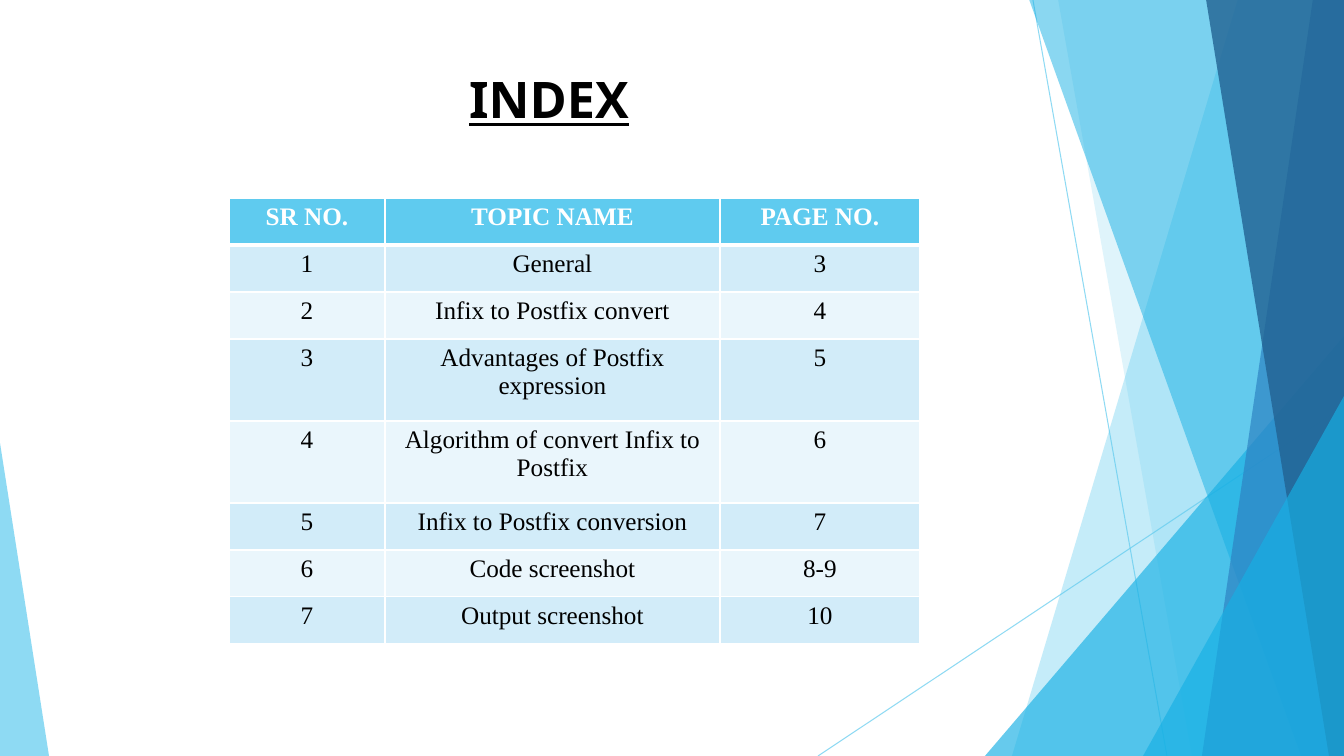
from lxml import etree
from pptx import Presentation
from pptx import util as u
from pptx.dml.color import RGBColor
from pptx.enum import shapes, text
from pptx.oxml.ns import qn

SKY = RGBColor(0x5F, 0xCB, 0xEF)
CYAN = RGBColor(0x17, 0xB0, 0xE4)
BLUE = RGBColor(0x2E, 0x83, 0xC3)
NAVY = RGBColor(0x22, 0x62, 0x92)
BAND = RGBColor(0xD2, 0xEC, 0xF9)
PALE_BAND = RGBColor(0xEA, 0xF6, 0xFC)
WHITE = RGBColor(0xFF, 0xFF, 0xFF)
BLACK = RGBColor(0, 0, 0)

# Content
TITLE = "INDEX"
HEADER = ("SR NO.", "TOPIC NAME", "PAGE NO.")
TOPICS = [
    ("General", "3"),
    ("Infix to Postfix convert", "4"),
    ("Advantages of Postfix expression", "5"),
    ("Algorithm of convert Infix to Postfix", "6"),
    ("Infix to Postfix conversion", "7"),
    ("Code screenshot", "8-9"),
    ("Output screenshot", "10"),
]
ROWS = [HEADER] + [(str(n), *topic) for n, topic in enumerate(TOPICS, 1)]

# Layout in pixels
SCALE = 914400 / 100.8
WIDTH, HEIGHT = 1344, 756
TITLE_BOX = (75, 68, 948, 83)
TABLE_LEFT, TABLE_TOP = 229, 198
COLUMN_WIDTHS = (156, 335, 200)
ROW_HEIGHTS = (47, 47, 47, 82, 82, 47, 47, 47)

# Decoration from back to front
LINES = [(1033, 0, 1167, HEIGHT), (WIDTH, 406, 818, HEIGHT)]
# Facets reach the right edge: (top x, bottom x, colour, opacity)
# Triangles: (left, top, width, height, apex, colour, opacity)
DECORATION = [
    (1238, 1012, SKY, 36),
    (1058, 1192, SKY, 20),
    (985, 336, 359, 420, 1, CYAN, 66),
    (1029, 1301, CYAN, 50),
    (1313, 1202, BLUE, 70),
    (1206, 1329, NAVY, 80),
    (1143, 396, 201, 360, 1, CYAN, 66),
    (0, 443, 49, 313, 0, SKY, 70),
]


def px(*lengths):
    return [u.Emu(round(length * SCALE)) for length in lengths]


def paint(fill, color, opacity=100):
    fill.solid()
    fill.fore_color.rgb = color
    if opacity < 100:
        color_element = fill._xPr.find(qn("a:solidFill"))[0]
        etree.SubElement(color_element, qn("a:alpha"), val=str(opacity * 1000))


def add_facet(top_x, bottom_x):
    builder = page.shapes.build_freeform(top_x, -1, scale=SCALE)
    builder.add_line_segments([(WIDTH, -1), (WIDTH, HEIGHT), (bottom_x, HEIGHT)])
    return builder.convert_to_shape()


def add_triangle(left, top, width, height, apex):
    triangle = page.shapes.add_shape(
        shapes.MSO_SHAPE.ISOSCELES_TRIANGLE, *px(left, top, width, height))
    triangle.adjustments[0] = apex
    return triangle


def set_borders(cell, top_points, bottom_points):
    sides = (("lnL", 1), ("lnR", 1), ("lnT", top_points), ("lnB", bottom_points))
    properties = cell._tc.get_or_add_tcPr()
    for index, (side, points) in enumerate(sides):
        border = etree.Element(qn("a:" + side), w=str(u.Pt(points)))
        fill = etree.SubElement(border, qn("a:solidFill"))
        etree.SubElement(fill, qn("a:srgbClr"), val=str(WHITE))
        properties.insert(index, border)


deck = Presentation()
deck.slide_width, deck.slide_height = px(WIDTH, HEIGHT)
page = deck.slides.add_slide(deck.slide_layouts[5])

# Thin lines
for ends in LINES:
    line = page.shapes.add_connector(shapes.MSO_CONNECTOR.STRAIGHT, *px(*ends))
    line.line.width = u.Pt(0.75)
    paint(line.line.fill, SKY, 70)
    etree.SubElement(line._element.spPr, qn("a:effectLst"))

# Translucent facets and triangles
for *geometry, color, opacity in DECORATION:
    add_part = add_facet if len(geometry) == 2 else add_triangle
    part = add_part(*geometry)
    part.shadow.inherit = False
    part.line.fill.background()
    paint(part.fill, color, opacity)

# Title, in front of the decoration
title = page.shapes.title
page.shapes._spTree.append(title._element)
title.left, title.top, title.width, title.height = px(*TITLE_BOX)
frame = title.text_frame
frame.text = TITLE
frame.vertical_anchor = text.MSO_ANCHOR.TOP
frame.margin_top = 0
para = frame.paragraphs[0]
para.alignment = text.PP_ALIGN.CENTER
para.font.name = "Noto Sans"
para.font.size = u.Pt(36)
para.font.bold = para.font.underline = True
para.font.color.rgb = BLACK

# Index table
table = page.shapes.add_table(
    len(ROWS), len(HEADER),
    *px(TABLE_LEFT, TABLE_TOP, sum(COLUMN_WIDTHS), sum(ROW_HEIGHTS))).table
for column, width in zip(table.columns, px(*COLUMN_WIDTHS)):
    column.width = width
for row, height in zip(table.rows, px(*ROW_HEIGHTS)):
    row.height = height

for r, words in enumerate(ROWS):
    is_header = r == 0
    row_color = SKY if is_header else BAND if r % 2 else PALE_BAND
    for c, word in enumerate(words):
        cell = table.cell(r, c)
        cell.text = word
        paint(cell.fill, row_color)
        set_borders(cell, 3 if r == 1 else 1, 3 if is_header else 1)
        para = cell.text_frame.paragraphs[0]
        para.alignment = text.PP_ALIGN.CENTER
        para.font.name = "Times New Roman"
        para.font.size = u.Pt(18)
        para.font.bold = is_header
        para.font.color.rgb = WHITE if is_header else BLACK

deck.save("out.pptx")
